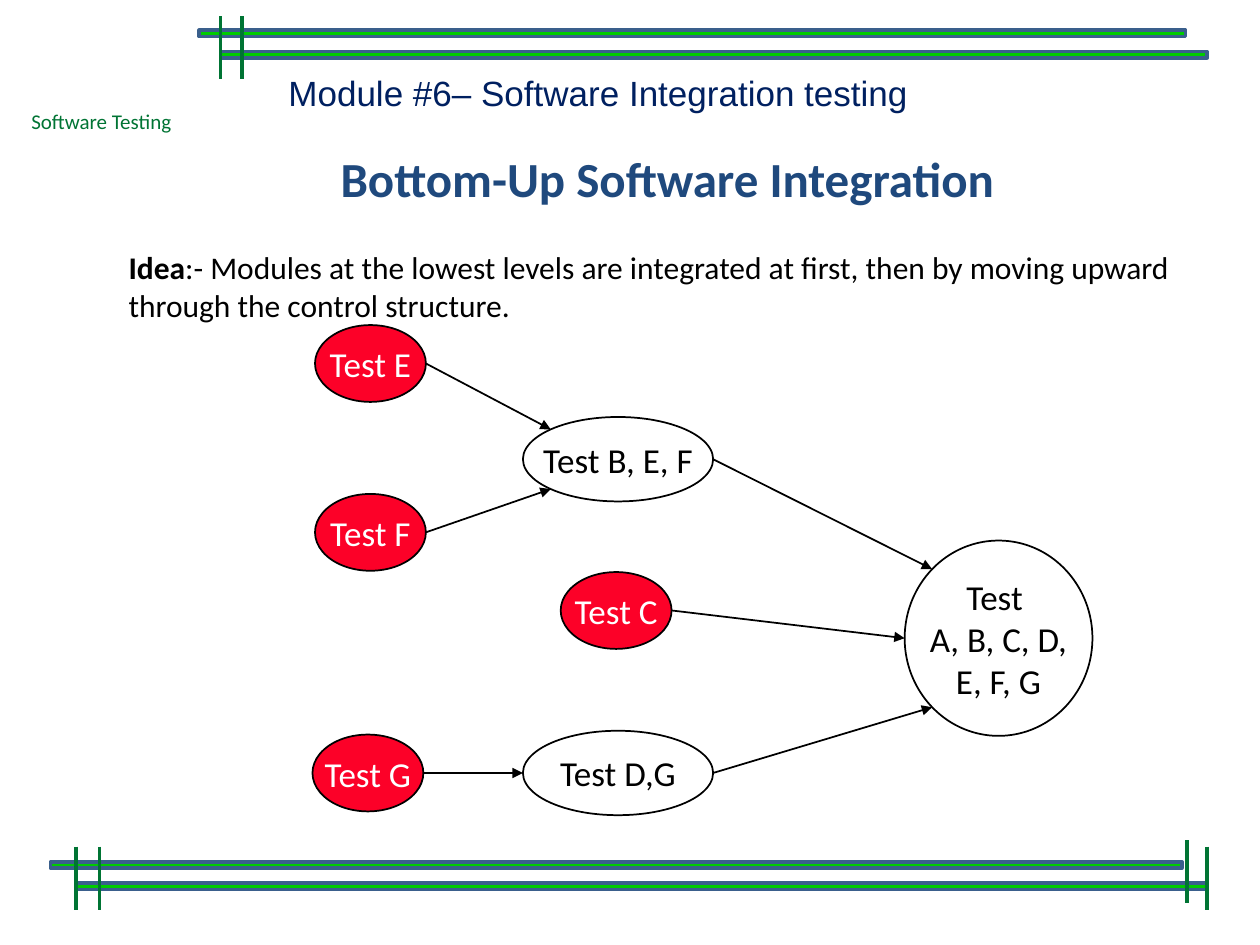
from dataclasses import dataclass
from math import sqrt

from lxml.etree import SubElement
from pptx import Presentation
from pptx.dml.color import RGBColor
from pptx.enum.shapes import MSO_CONNECTOR, MSO_SHAPE
from pptx.enum.text import MSO_ANCHOR, MSO_AUTO_SIZE, PP_ALIGN
from pptx.oxml.ns import qn
from pptx.util import Inches, Pt

GREEN, LIME, BLUE = "007434", "00CC00", "3A5F8C"
RED, BLACK, WHITE = "FC0128", "000000", "FFFFFF"


@dataclass
class Node:
    lines: list[str]
    x: float
    y: float
    w: float = 0.88
    h: float = 0.61
    leaf: bool = True

    def site(self, dx: float, dy: float) -> tuple[float, float]:
        """Point on the outline in the direction dx, dy (-1, 0 or 1)."""
        size = sqrt(dx * dx + dy * dy)
        return (self.x + self.w / 2 * (1 + dx / size),
                self.y + self.h / 2 * (1 + dy / size))


def color(code: str) -> RGBColor:
    return RGBColor.from_string(code)


def place(shape, x: float, y: float, w: float, h: float) -> None:
    shape.left, shape.top = Inches(x), Inches(y)
    shape.width, shape.height = Inches(w), Inches(h)


def write(para, text: str, size: float, code: str,
          bold: bool = False, face: str = "Calibri") -> None:
    run = para.add_run()
    run.text = text
    font = run.font
    font.name, font.size, font.bold = face, Pt(size), bold
    font.color.rgb = color(code)


def draw_line(shapes, start: tuple, end: tuple, code: str, width: float,
              arrow: bool = False) -> None:
    line = shapes.add_connector(MSO_CONNECTOR.STRAIGHT,
                                *map(Inches, (*start, *end)))
    line.line.color.rgb = color(code)
    line.line.width = Pt(width)
    if arrow:
        SubElement(line.line._get_or_add_ln(), qn("a:tailEnd"), type="triangle")
    SubElement(line._element.spPr, qn("a:effectLst"))


def draw_bar(shapes, x: float, y: float, w: float) -> None:
    bar = shapes.add_shape(MSO_SHAPE.FLOWCHART_PROCESS,
                           *map(Inches, (x, y, w, 0.05)))
    bar.shadow.inherit = False
    bar.fill.solid()
    bar.fill.fore_color.rgb = color(LIME)
    bar.line.color.rgb = color(BLUE)
    bar.line.width = Pt(2)


def draw_node(shapes, node: Node) -> None:
    oval = shapes.add_shape(MSO_SHAPE.OVAL,
                            *map(Inches, (node.x, node.y, node.w, node.h)))
    oval.shadow.inherit = False
    if node.leaf:
        oval.fill.solid()
        oval.fill.fore_color.rgb = color(RED)
    else:
        oval.fill.background()
    oval.line.color.rgb = color(BLACK)
    oval.line.width = Pt(1)
    frame = oval.text_frame
    frame.word_wrap = False
    frame.vertical_anchor = MSO_ANCHOR.MIDDLE
    for i, text in enumerate(node.lines):
        para = frame.add_paragraph() if i else frame.paragraphs[0]
        para.alignment = PP_ALIGN.CENTER
        write(para, text, 20, WHITE if node.leaf else BLACK)


def draw_label(shapes, box: tuple, text: str, size: float, code: str,
               face: str, wrap: bool) -> None:
    label = shapes.add_textbox(*map(Inches, box))
    label.text_frame.word_wrap = wrap
    write(label.text_frame.paragraphs[0], text, size, code, face=face)


def main() -> None:
    deck = Presentation()
    deck.slide_width, deck.slide_height = Inches(10), Inches(7.5)
    slide = deck.slides.add_slide(deck.slide_layouts[1])
    shapes = slide.shapes

    # Title
    title = shapes.title
    place(title, 1.92, 1.17, 6.75, 0.55)
    frame = title.text_frame
    frame.auto_size = MSO_AUTO_SIZE.NONE
    frame.vertical_anchor = MSO_ANCHOR.MIDDLE
    para = frame.paragraphs[0]
    para.alignment = PP_ALIGN.CENTER
    para.line_spacing = 0.9
    write(para, "Bottom-Up Software Integration", 28, "1F497D", True)

    # Idea
    body = slide.placeholders[1]
    place(body, 0.92, 1.92, 8.58, 1.31)
    body.text_frame.auto_size = MSO_AUTO_SIZE.NONE
    para = body.text_frame.paragraphs[0]
    para.space_before = Pt(0)
    props = para._p.get_or_add_pPr()
    props.set("marL", "0")
    props.set("indent", "0")
    SubElement(props, qn("a:buNone"))
    write(para, "Idea", 18, BLACK, True)
    write(para, ":- Modules at the lowest levels are integrated at first, then "
                "by moving upward through the control structure.", 18, BLACK)

    # Course and module names
    draw_label(shapes, (0.15, 0.81, 1.33, 0.3), "Software Testing",
               12, GREEN, "Calibri", False)
    draw_label(shapes, (2.19, 0.52, 6.31, 0.44),
               "Module #6– Software Integration testing",
               20, "002060", "Arial", True)

    # Frame bars and posts
    for x, y, w in ((1.58, 0.24, 7.83), (1.75, 0.41, 7.83),
                    (0.4, 6.84, 8.98), (0.6, 7.01, 8.98)):
        draw_bar(shapes, x, y, w)
    for x, y in ((1.75, 0.13), (1.92, 0.13), (0.6, 6.72), (0.79, 6.72),
                 (9.58, 6.72), (9.42, 6.67)):
        draw_line(shapes, (x, y), (x, y + 0.5), GREEN, 2.25)

    # Test nodes
    e = Node(["Test E"], 2.5, 2.58)
    f = Node(["Test F"], 2.5, 3.92)
    c = Node(["Test C"], 4.45, 4.54)
    g = Node(["Test G"], 2.48, 5.83)
    bef = Node(["Test B, E, F"], 4.15, 3.31, 1.51, 0.67, False)
    dg = Node(["Test D,G"], 4.15, 5.8, 1.51, 0.67, False)
    full = Node(["Test ", "A, B, C, D,", "E, F, G"],
                7.18, 4.29, 1.49, 1.55, False)
    for node in (e, f, c, g, bef, dg, full):
        draw_node(shapes, node)

    # Arrows run from the right side to the upper, middle or lower left
    for tail, head, dy in ((e, bef, -1), (f, bef, 1), (g, dg, 0),
                           (bef, full, -1), (c, full, 0), (dg, full, 1)):
        draw_line(shapes, tail.site(1, 0), head.site(-1, dy), BLACK, 1, True)

    deck.save("out.pptx")


if __name__ == "__main__":
    main()
